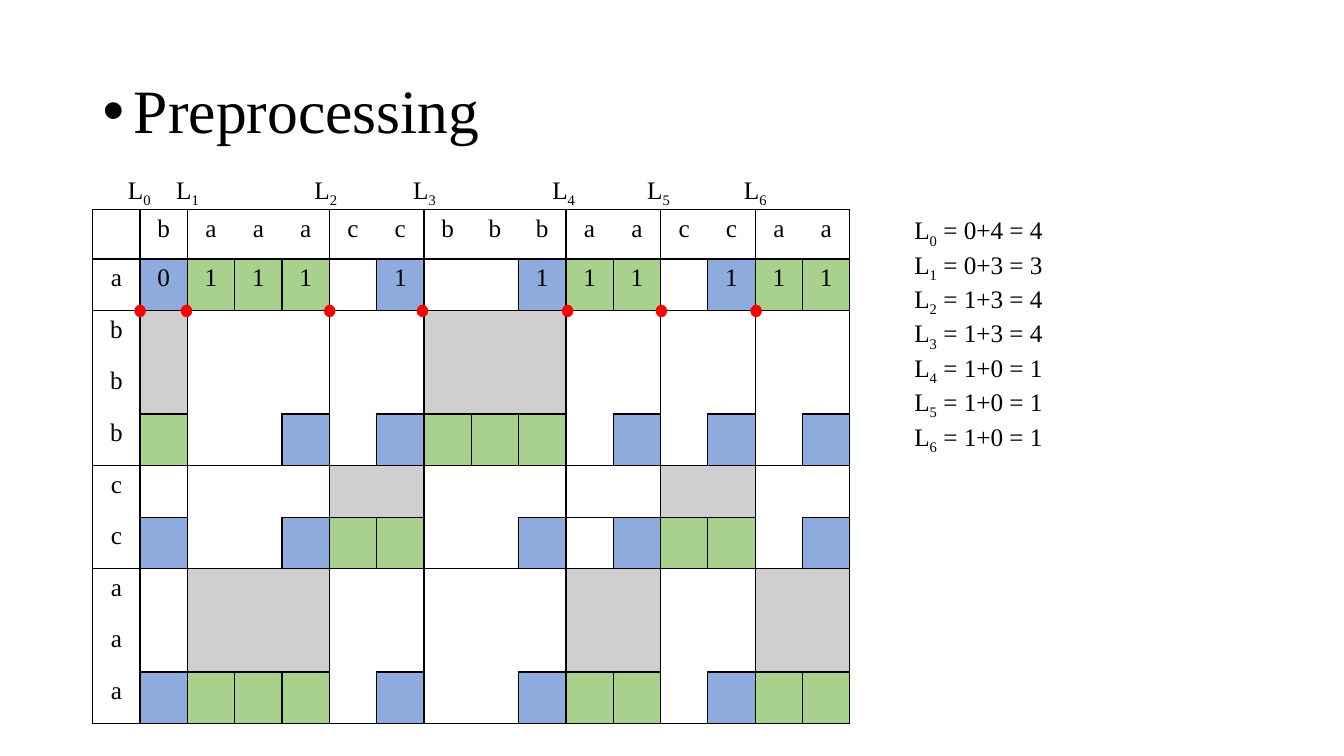
from dataclasses import dataclass
from itertools import groupby

from lxml import etree
from pptx import Presentation
from pptx.dml.color import RGBColor
from pptx.enum import shapes, text
from pptx.oxml import ns
from pptx.util import Inches, Pt


@dataclass(frozen=True)
class Theme:
    font: str = "Times New Roman"
    title_size: int = 44
    body_size: int = 18
    ink: str = "000000"
    dot: str = "FF0000"
    match: str = "A9D18E"
    mismatch: str = "8FAADC"
    inner: str = "D0CECE"
    line: float = 1


THEME = Theme()

# The two strings compared in the grid
ACROSS = "baaaccbbbaaccaa"
DOWN = "abbbccaaa"
EXTRA_BOXED = {(6, 10)}

# Label left, dot left and the two terms of each sum
MARKS = [
    (1.17, 1.34, 0, 4),
    (1.65, 1.80, 0, 3),
    (3.02, 3.22, 1, 3),
    (4.00, 4.14, 1, 3),
    (5.38, 5.58, 1, 0),
    (6.32, 6.51, 1, 0),
    (7.28, 7.45, 1, 0),
]


def rgb(color):
    return RGBColor.from_string(color)


def style(font, size=THEME.body_size):
    font.name, font.size = THEME.font, Pt(size)
    font.color.rgb = rgb(THEME.ink)


def add_text(s, left, top, width, height, wrap=True):
    tf = s.shapes.add_textbox(*map(Inches, (left, top, width, height))).text_frame
    tf.word_wrap = wrap
    return tf


def add_indexed(p, index, rest=""):
    """Write L with a subscript index, then the rest of the line."""
    for part in ("L", str(index), rest):
        if part:
            r = p.add_run()
            r.text = part
            style(r.font)
            if part == str(index):
                r.font._element.set("baseline", "-25000")


def add_title(s, title):
    tf = add_text(s, 0.92, 0.4, 11.5, 1.45)
    tf.vertical_anchor = text.MSO_ANCHOR.MIDDLE
    p = tf.paragraphs[0]
    p.text = title
    p.line_spacing = 0.9
    pPr = p._p.get_or_add_pPr()
    pPr.set("marL", str(Inches(0.31)))
    pPr.set("indent", str(-Inches(0.31)))
    etree.SubElement(pPr, ns.qn("a:buFont")).set("typeface", "Arial")
    etree.SubElement(pPr, ns.qn("a:buChar")).set("char", "•")
    style(p.runs[0].font, THEME.title_size)


def add_sums(s):
    tf = add_text(s, 8.97, 2.08, 3.73, 2.52)
    for i, (_, _, a, b) in enumerate(MARKS):
        p = tf.add_paragraph() if i else tf.paragraphs[0]
        add_indexed(p, i, f" = {a}+{b} = {a + b}")


def add_label(s, left, index):
    tf = add_text(s, left, 1.68, 0.44, 0.4, wrap=False)
    add_indexed(tf.paragraphs[0], index)


def add_dot(s, left):
    dot = s.shapes.add_shape(shapes.MSO_SHAPE.OVAL, Inches(left), Inches(3.03),
                             Inches(0.1), Inches(0.11))
    dot.shadow.inherit = False
    dot.fill.solid()
    dot.fill.fore_color.rgb = dot.line.color.rgb = rgb(THEME.dot)
    dot.line.width = Pt(THEME.line)


def run_numbers(letters):
    """Number the run of equal letters each position is in; the header is run 0."""
    runs = [0]
    for number, (_, run) in enumerate(groupby(letters), 1):
        runs += [number for _ in run]
    return runs


ROW_RUNS, COL_RUNS = run_numbers(DOWN), run_numbers(ACROSS)


def ends_run(runs, i):
    return i + 1 == len(runs) or runs[i] != runs[i + 1]


def cell_fill(row, col):
    if not row or not col:
        return None
    same, bottom = DOWN[row - 1] == ACROSS[col - 1], ends_run(ROW_RUNS, row)
    if same:
        return THEME.match if bottom else THEME.inner
    return THEME.mismatch if bottom and ends_run(COL_RUNS, col) else None


def cell_text(row, col):
    if not row:
        return ACROSS[col - 1] if col else ""
    if not col:
        return DOWN[row - 1]
    if row == 1 and cell_fill(row, col):
        return "0" if col == 1 else "1"
    return ""


def boxed(row, col):
    return cell_fill(row, col) in (THEME.match, THEME.mismatch) or (row, col) in EXTRA_BOXED


def has_border(row, col, next_row, next_col):
    """Lines run round every block of runs and round every boxed cell."""
    if not (0 <= next_row < len(ROW_RUNS) and 0 <= next_col < len(COL_RUNS)):
        return True
    other_block = (ROW_RUNS[row], COL_RUNS[col]) != (ROW_RUNS[next_row], COL_RUNS[next_col])
    return other_block or boxed(row, col) or boxed(next_row, next_col)


def set_borders(cell, row, col):
    tcPr = cell._tc.get_or_add_tcPr()
    sides = (("L", 0, -1), ("R", 0, 1), ("T", -1, 0), ("B", 1, 0))
    for i, (side, dr, dc) in enumerate(sides):
        ln = etree.Element(ns.qn(f"a:ln{side}"), w=str(Pt(THEME.line)))
        if has_border(row, col, row + dr, col + dc):
            fill = etree.SubElement(ln, ns.qn("a:solidFill"))
            etree.SubElement(fill, ns.qn("a:srgbClr")).set("val", THEME.ink)
        else:
            etree.SubElement(ln, ns.qn("a:noFill"))
        tcPr.insert(i, ln)


def add_grid(s):
    rows, cols = len(ROW_RUNS), len(COL_RUNS)
    width, height, header = 7.51, 5.1, 0.49
    table = s.shapes.add_table(rows, cols, Inches(0.92), Inches(2.08),
                               Inches(width), Inches(height)).table
    table.first_row = table.horz_banding = False
    for column in table.columns:
        column.width = Inches(width / cols)
    for row in range(rows):
        table.rows[row].height = Inches((height - header) / (rows - 1) if row else header)
        for col in range(cols):
            cell = table.cell(row, col)
            p = cell.text_frame.paragraphs[0]
            p.text = cell_text(row, col)
            p.alignment = text.PP_ALIGN.CENTER
            for r in p.runs:
                style(r.font)
            color = cell_fill(row, col)
            if color:
                cell.fill.solid()
                cell.fill.fore_color.rgb = rgb(color)
            else:
                cell.fill.background()
            set_borders(cell, row, col)


def main():
    prs = Presentation()
    prs.slide_width, prs.slide_height = Inches(13.33), Inches(7.5)
    s = prs.slides.add_slide(prs.slide_layouts[6])

    # Heading and list of sums
    add_title(s, "Preprocessing")
    add_sums(s)

    # Grid with its marked columns
    add_grid(s)
    for i, (label_left, dot_left, _, _) in enumerate(MARKS):
        add_label(s, label_left, i)
        add_dot(s, dot_left)

    prs.save("out.pptx")


if __name__ == "__main__":
    main()
